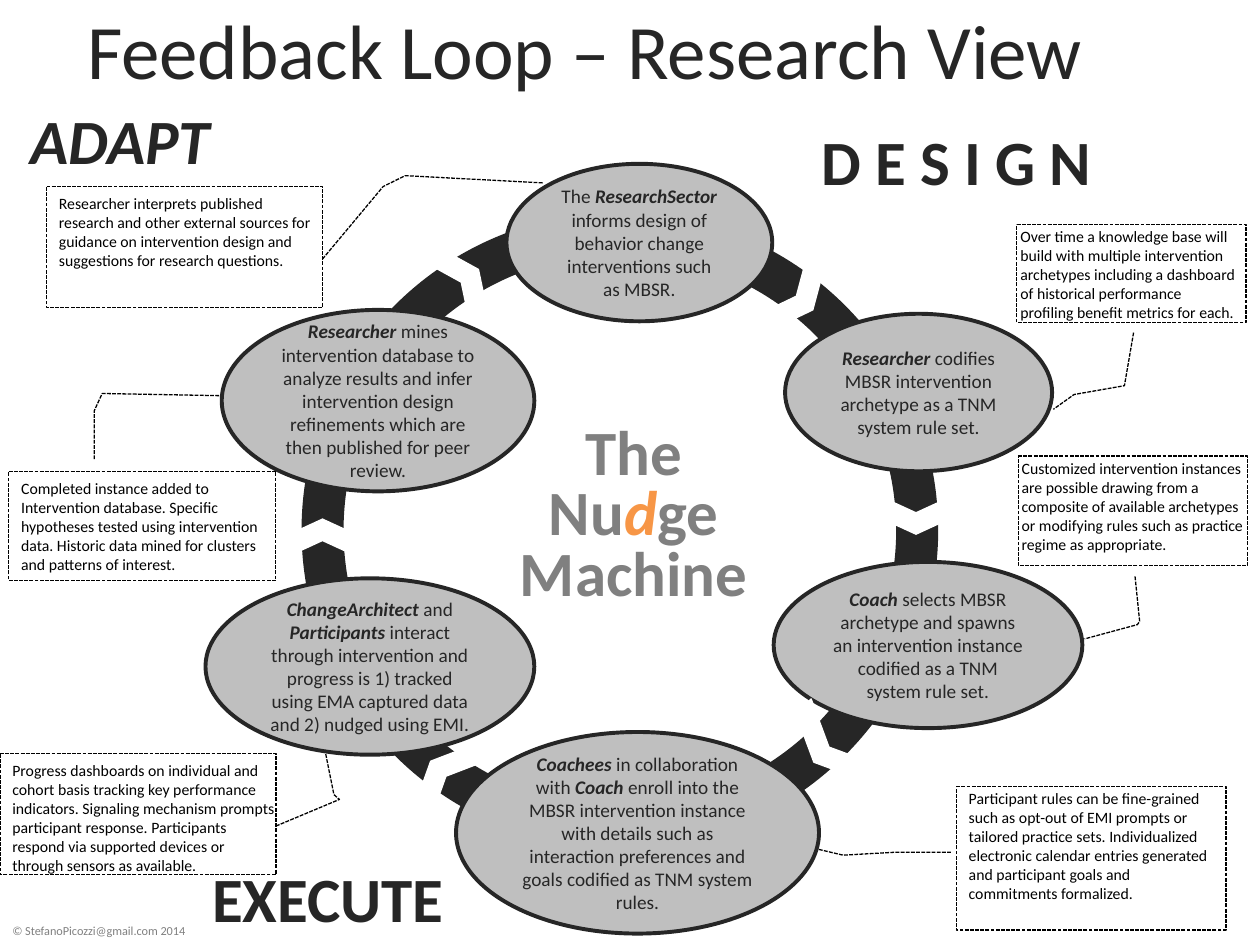
from pptx import Presentation
from pptx.dml.color import RGBColor
from pptx.enum.dml import MSO_LINE
from pptx.enum.shapes import MSO_SHAPE
from pptx.enum.text import MSO_ANCHOR, MSO_AUTO_SIZE, PP_ALIGN
from pptx.util import Pt

OVAL, CHEVRON = MSO_SHAPE.OVAL, MSO_SHAPE.CHEVRON
CALLOUT = MSO_SHAPE.LINE_CALLOUT_3
LEFT, CENTER = PP_ALIGN.LEFT, PP_ALIGN.CENTER
TOP, MIDDLE = MSO_ANCHOR.TOP, MSO_ANCHOR.MIDDLE
FIT_SHAPE = MSO_AUTO_SIZE.SHAPE_TO_FIT_TEXT
DASH = MSO_LINE.SQUARE_DOT
FONT = "Calibri"
TITLE_ONLY_LAYOUT = 5

COLORS = {"ink": "262626", "oval": "BFBFBF", "gray": "808080",
          "accent": "F79646", "black": "000000", "white": "FFFFFF"}

TITLE = "Feedback Loop – Research View"
TITLE_BOX = (38.9, -2.2, 591.1, 60.5)
RING_BOX = (184.3, 133.2, 339.8, 339.8)
CHEVRON_SIZE = (24.5, 53.3)

# Text between asterisks is emphasised.
PHASES = [
    ("D E S I G N", (461.5, 66.2, 169.9, 51.1), False),
    ("EXECUTE", (113, 487.4, 149, 51.1), False),
    ("ADAPT", (5, 54.7, 127.4, 51.1), True),
]
STEPS = [
    ("The *ResearchSector *informs design of behavior change interventions "
     "such as MBSR.", (289.4, 93.6, 151.9, 90)),
    ("*Researcher *codifies MBSR intervention archetype as a TNM system rule set.",
     (448.6, 179.3, 152.6, 90)),
    ("*Coach *selects MBSR archetype and spawns an intervention instance "
     "codified as a TNM system rule set.", (442.1, 321.1, 176.4, 95)),
    ("*Coachees *in collaboration with *Coach* enroll into the MBSR intervention "
     "instance with details such as interaction preferences and goals codified "
     "as TNM system rules.", (260.6, 418.3, 207.4, 115.2)),
    ("*ChangeArchitect *and *Participants *interact through intervention and "
     "progress is 1) tracked using EMA captured data and 2) nudged using EMI.",
     (117.4, 330.5, 187.9, 100.8)),
    ("*Researcher *mines intervention database to analyze results and infer "
     "intervention design refinements which are then published for peer review.",
     (126.7, 177.1, 178.6, 103.7)),
]
# Left, top, rotation; the first gap lies behind the ovals.
RING_GAPS = [
    (251.3, 134.6, 143.5), (442.8, 142.6, 219.7), (511.2, 266.4, 270),
    (461.5, 400.3, 315), (242.6, 416.9, 44.3), (172.1, 282.2, 90),
]
# Paragraphs, frame, text box, leader line as (y, x) fractions of the frame.
NOTES = [
    (["Over time a knowledge base will",
      "build with multiple intervention",
      "archetypes including a dashboard of historical performance",
      "profiling benefit metrics for each."],
     (581, 128.2, 131, 56.2), (576, 126, 143.3, 72),
     (1.1, 0.51, 1.64, 0.47, 1.73, 0.25, 1.88, 0.16)),
    (["Customized intervention instances are possible drawing from a composite "
      "of available archetypes",
      "or modifying rules such as practice regime as appropriate."],
     (581.8, 260.6, 131, 62.6), (576.7, 258.5, 143.3, 61.9),
     (1.1, 0.51, 1.51, 0.53, 1.54, 0.52, 1.67, 0.29)),
    (["Participant rules can be fine-grained such as opt-out of EMI prompts or "
      "tailored practice sets. Individualized electronic calendar entries "
      "generated and participant goals and commitments formalized."],
     (546.5, 449.3, 154.1, 82.1), (546.5, 447.1, 154.1, 72.7),
     (0.46, -0.02, 0.46, -0.23, 0.48, -0.42, 0.44, -0.51)),
    (["Progress dashboards on individual and cohort basis tracking key "
      "performance indicators. Signaling mechanism prompts participant response. "
      "Participants respond via supported devices or through sensors as available."],
     (0, 430.6, 157.7, 69.1), (0, 431.3, 165.6, 72.7),
     (0.6, 1, 0.38, 1.23, 0.34, 1.21, 0, 1.18)),
    (["Completed instance added to Intervention database. Specific hypotheses "
      "tested using intervention data. Historic data mined for clusters and "
      "patterns of interest."],
     (5, 269.3, 152.6, 62.6), (5, 270, 152.6, 55.4),
     (-0.11, 0.32, -0.55, 0.32, -0.71, 0.35, -0.69, 0.79)),
    (["Researcher interprets published research and other external sources for "
      "guidance on intervention design and suggestions for research questions."],
     (26.6, 106.6, 157.7, 69.1), (26.6, 107.3, 157.7, 61.9),
     (0.6, 1, 0, 1.22, -0.09, 1.3, -0.03, 1.8)),
]
CENTER_LINES = ["The", "Nu*d*ge", "Machine"]
CENTER_BOX = (289.4, 240.5, 145.4, 113.8)
COPYRIGHT = "© StefanoPicozzi@gmail.com 2014"
COPYRIGHT_BOX = (0, 524.2, 115.2, 15.8)


def rgb(name):
    return RGBColor.from_string(COLORS[name])


def points(box):
    return [Pt(value) for value in box]


def write(text_frame, lines, size, color, align=LEFT, bold=False, italic=False,
          emphasis_color=None, line_spacing=None):
    """Write one paragraph per line; parts between asterisks are bold italic."""
    for number, line in enumerate(lines):
        paragraph = text_frame.add_paragraph() if number else text_frame.paragraphs[0]
        paragraph.alignment = align
        if line_spacing:
            paragraph.line_spacing = line_spacing
        for index, part in enumerate(line.split("*")):
            if not part:
                continue
            emphasised = index % 2 == 1
            run = paragraph.add_run()
            run.text = part
            run.font.name, run.font.size = FONT, Pt(size)
            run.font.bold = bold or emphasised
            run.font.italic = italic or emphasised
            run.font.color.rgb = rgb(emphasis_color if emphasised and emphasis_color
                                     else color)


def add_text(shapes, box, lines, size, color, wrap=False, **style):
    text_frame = shapes.add_textbox(*points(box)).text_frame
    text_frame.word_wrap = wrap
    text_frame.auto_size = FIT_SHAPE
    write(text_frame, lines, size, color, **style)


def add_figure(shapes, kind, box, line, width, fill=None):
    shape = shapes.add_shape(kind, *points(box))
    shape.shadow.inherit = False
    if fill:
        shape.fill.solid()
        shape.fill.fore_color.rgb = rgb(fill)
    else:
        shape.fill.background()
    shape.line.color.rgb = rgb(line)
    shape.line.width = Pt(width)
    return shape


def add_ring_gap(shapes, left, top, rotation):
    gap = add_figure(shapes, CHEVRON, (left, top, *CHEVRON_SIZE), "white", 0.75, "white")
    gap.rotation = rotation
    gap.element.spPr.get_or_add_xfrm().set("flipH", "1")


def add_step(shapes, text, box):
    oval = add_figure(shapes, OVAL, box, "ink", 2.25, "oval")
    oval.text_frame.word_wrap = True
    oval.text_frame.vertical_anchor = MIDDLE
    write(oval.text_frame, [text], 11, "ink", align=CENTER)


def add_note(shapes, lines, frame_box, text_box, leader):
    group = shapes.add_group_shape()
    frame = add_figure(group.shapes, CALLOUT, frame_box, "black", 0.75)
    frame.line.dash_style = DASH
    for index, value in enumerate(leader):
        frame.adjustments[index] = value
    add_text(group.shapes, text_box, lines, 9, "black", wrap=True)


def main():
    presentation = Presentation()
    presentation.slide_width, presentation.slide_height = Pt(720), Pt(540)
    slide = presentation.slides.add_slide(presentation.slide_layouts[TITLE_ONLY_LAYOUT])
    shapes = slide.shapes

    title = shapes.title
    title.left, title.top, title.width, title.height = points(TITLE_BOX)
    title.text_frame.word_wrap = False
    title.text_frame.vertical_anchor = TOP
    write(title.text_frame, [TITLE], 44, "ink", align=CENTER)

    add_figure(shapes, OVAL, RING_BOX, "ink", 24)
    add_ring_gap(shapes, *RING_GAPS[0])
    for text, box in STEPS:
        add_step(shapes, text, box)
    for gap in RING_GAPS[1:]:
        add_ring_gap(shapes, *gap)
    for note in NOTES:
        add_note(shapes, *note)
    for text, box, italic in PHASES:
        add_text(shapes, box, [text], 36, "ink", align=CENTER, bold=True, italic=italic)
    add_text(shapes, CENTER_BOX, CENTER_LINES, 36, "gray", align=CENTER, bold=True,
             emphasis_color="accent", line_spacing=0.8)
    add_text(shapes, COPYRIGHT_BOX, [COPYRIGHT], 7, "gray")

    presentation.save("out.pptx")


if __name__ == "__main__":
    main()
